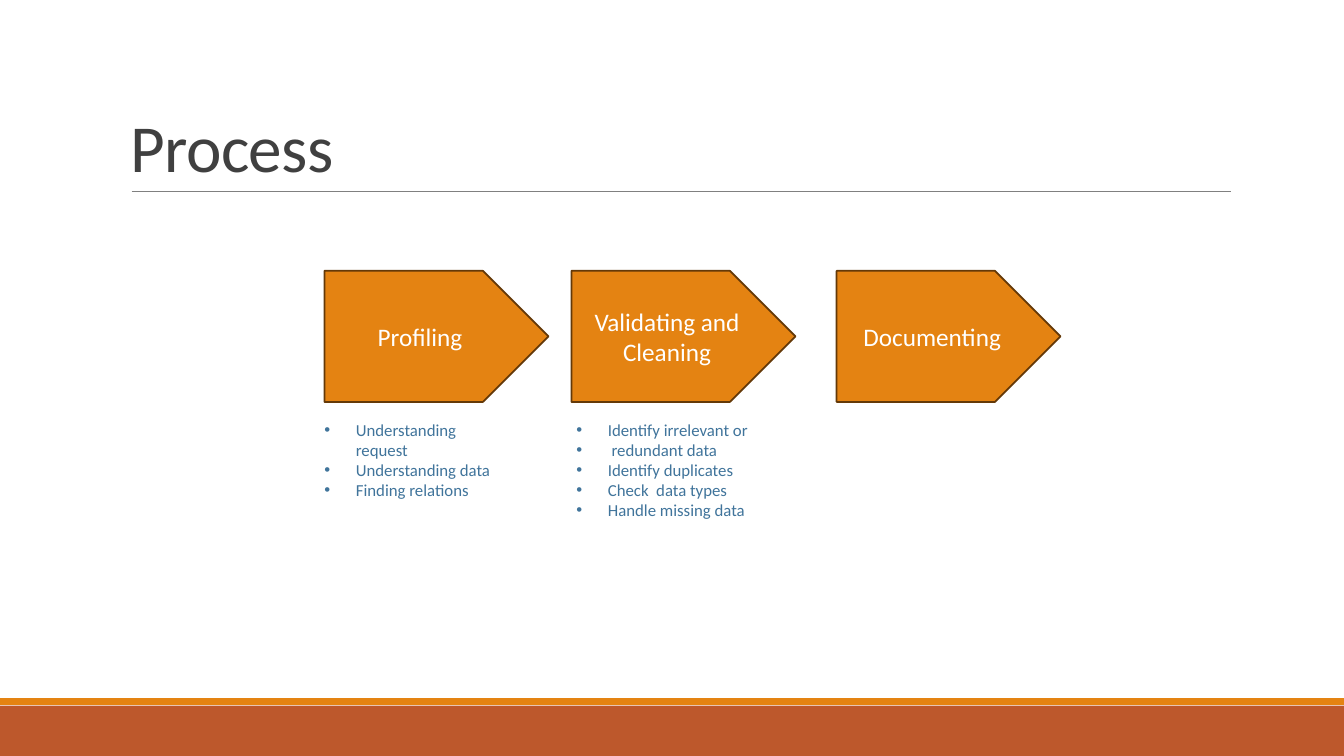
"""Build the Process slide: three chevron steps with bullet lists beneath."""
import pptx
import pptx.util
import pptx.dml.color
import pptx.enum.shapes
import pptx.enum.text
import pptx.oxml.ns
import lxml.etree

Pt = pptx.util.Pt
RGB = pptx.dml.color.RGBColor
SHAPE = pptx.enum.shapes.MSO_SHAPE
ANCHOR = pptx.enum.text.MSO_ANCHOR
qn = pptx.oxml.ns.qn

ORANGE = RGB(0xE4, 0x83, 0x12)
RUST = RGB(0xBD, 0x58, 0x2C)
BROWN = RGB(0x64, 0x39, 0x08)
GRAY = RGB(0x80, 0x80, 0x80)
DARK = RGB(0x40, 0x40, 0x40)
BLUE = RGB(0x40, 0x74, 0x9B)
WHITE = RGB(0xFF, 0xFF, 0xFF)

prs = pptx.Presentation()
prs.slide_width, prs.slide_height = Pt(960), Pt(540)
s = prs.slides.add_slide(prs.slide_layouts[6])


def add_shape(kind, x, y, w, h, fill):
    sp = s.shapes.add_shape(kind, Pt(x), Pt(y), Pt(w), Pt(h))
    sp.shadow.inherit = False
    sp.fill.solid()
    sp.fill.fore_color.rgb = fill
    sp.line.fill.background()
    return sp


def set_font(p, size, color):
    p.font.name = "Calibri"
    p.font.size = Pt(size)
    p.font.color.rgb = color


add_shape(SHAPE.RECTANGLE, 0, 504, 960, 36, RUST)
add_shape(SHAPE.RECTANGLE, 0, 498.7, 960, 4.8, ORANGE)

rule = s.shapes.add_connector(
    pptx.enum.shapes.MSO_CONNECTOR.STRAIGHT, Pt(94), Pt(136.8), Pt(879), Pt(136.8))
rule.line.color.rgb = GRAY
rule.line.width = Pt(0.5)
lxml.etree.SubElement(rule._element.spPr, qn("a:effectLst"))

title = s.shapes.add_textbox(Pt(86.4), Pt(22.3), Pt(792), Pt(114.5))
tf = title.text_frame
tf.word_wrap = True
tf.vertical_anchor = ANCHOR.BOTTOM
p = tf.paragraphs[0]
r = p.add_run()
r.text = "Process"
p.line_spacing = 0.85
set_font(p, 48, DARK)
r._r.get_or_add_rPr().set("spc", "-50")

steps = [(231.8, "Profiling"), (408.2, "Validating and Cleaning"), (597.6, "Documenting")]
for x, label in steps:
    sp = add_shape(SHAPE.PENTAGON, x, 193.5, 160, 93.6, ORANGE)
    sp.line.color.rgb = BROWN
    sp.line.width = Pt(1.25)
    tf = sp.text_frame
    tf.word_wrap = True
    tf.vertical_anchor = ANCHOR.MIDDLE
    p = tf.paragraphs[0]
    p.text = label
    p.alignment = pptx.enum.text.PP_ALIGN.CENTER
    set_font(p, 18, WHITE)

lists = [
    (224.6, 65.5, ["Understanding  request", "Understanding data", "Finding relations"]),
    (404.6, 80, ["Identify irrelevant or", " redundant data", "Identify duplicates",
                 "Check  data types", "Handle missing data"]),
]
for x, height, items in lists:
    tf = s.shapes.add_textbox(Pt(x), Pt(296), Pt(147.6), Pt(height)).text_frame
    tf.word_wrap = True
    for i, item in enumerate(items):
        p = tf.add_paragraph() if i else tf.paragraphs[0]
        p.text = item
        set_font(p, 12, BLUE)
        pPr = p._p.get_or_add_pPr()
        pPr.set("marL", str(Pt(22.5)))
        pPr.set("indent", str(-Pt(22.5)))
        font = lxml.etree.Element(qn("a:buFont"), typeface="Arial")
        bullet = lxml.etree.Element(qn("a:buChar"), char="•")
        pPr.insert(0, font)
        pPr.insert(1, bullet)

prs.save("out.pptx")
